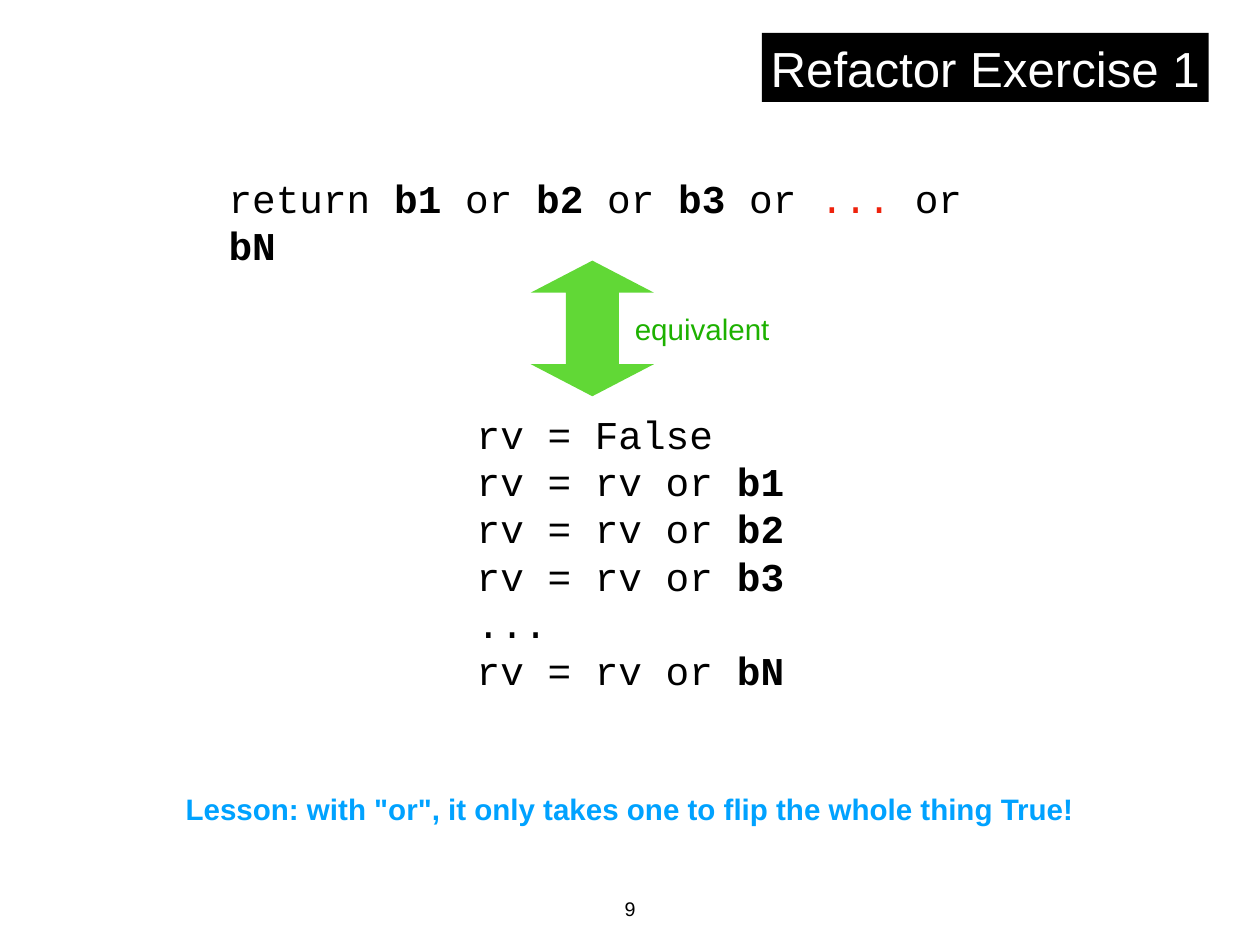
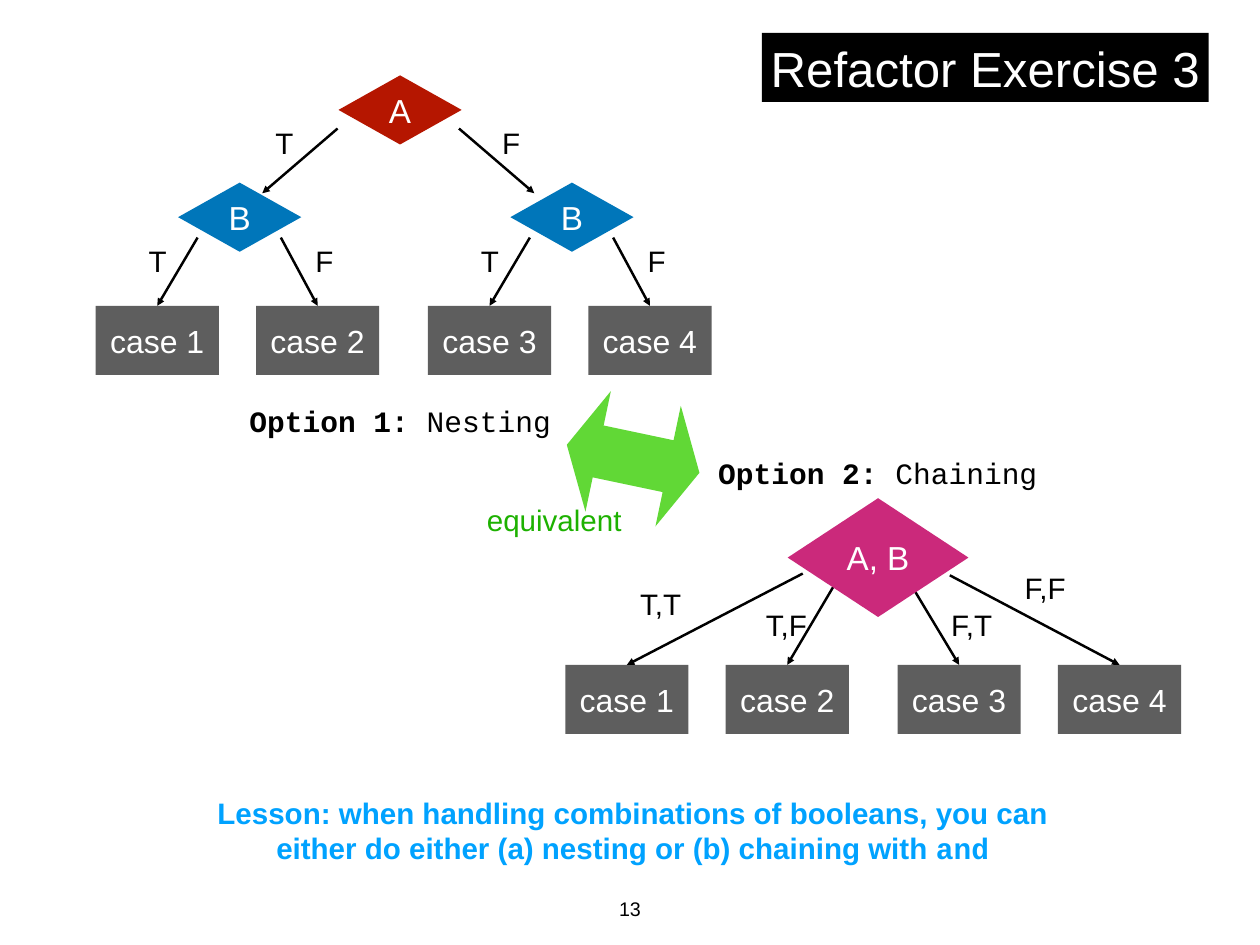
import pptx
import pptx.dml.color
import pptx.enum.shapes
import pptx.enum.text
import pptx.oxml.ns
import pptx.util
from lxml import etree
from pptx.util import Inches

Preset = pptx.enum.shapes.MSO_SHAPE
Align = pptx.enum.text.PP_ALIGN
Anchor = pptx.enum.text.MSO_ANCHOR

COLORS = {
    "black": "000000", "white": "FFFFFF", "red": "EE220C", "lesson": "00A2FF",
    "arrow": "61D836", "equivalent": "1DB100", "case": "5E5E5E",
    "A": "B51600", "B": "0076BA", "A, B": "CB297B",
}
SANS, MONO = "Arial", "Courier New"
BOLD, RED, CODE = {"bold": True}, {"color": "red"}, {"font": MONO}

RETURN_LINE = [[
    ("return ", {}), ("b1", BOLD), (" or ", {}), ("b2", BOLD), (" or ", {}),
    ("b3", BOLD), (" or ", {}), ("...", RED), (" or ", {}), ("bN", BOLD),
]]
STEP_LINES = [
    [("rv = False", {})],
    [("rv = rv or ", {}), ("b1", BOLD)],
    [("rv = rv or ", {}), ("b2", BOLD)],
    [("rv = rv or ", {}), ("b3", BOLD)],
    [("...", {})],
    [("rv = rv or ", {}), ("bN", BOLD)],
]
OR_LESSON = [[('Lesson: with "or", it only takes one to flip the whole thing True!', {})]]
NEST_LESSON = [
    [("Lesson: when handling combinations of booleans, you can", {})],
    [("either do either (a) nesting or (b) chaining with ", {}), ("and", CODE)],
]
OPTIONS = [
    ("Option 1: ", "Nesting", (2.76, 4.49, 3.51, 0.51)),
    ("Option 2: ", "Chaining", (8.05, 5.08, 3.71, 0.51)),
]

CASES = ["case 1", "case 2", "case 3", "case 4"]
NODE_WIDTH, NODE_HEIGHT = 1.39, 0.78
CASE_STEP, PAIR_STEP = 1.81, 3.75
LABEL_HEIGHT = 0.51

NEST_LEFT, NEST_TOP = 1.08, 3.45
ROOT_BRANCHES = [
    ("T", (3.81, 1.45), (2.96, 2.18), 3.05),
    ("F", (5.18, 1.45), (6.03, 2.18), 5.61),
]
PAIR_BRANCHES = [("T", 1.15, 0.54), ("F", 2.09, 2.42)]

CHAIN_LEFT, CHAIN_TOP = 6.38, 7.5
CHAIN_BRANCHES = [
    ("T,T", (9.06, 6.47), (7.15, 6.55)),
    ("T,F", (9.41, 6.61), (8.57, 6.79)),
    ("F,T", (10.29, 6.61), (10.66, 6.79)),
    ("F,F", (10.72, 6.49), (11.49, 6.37)),
]


def rgb(name):
    return pptx.dml.color.RGBColor.from_string(COLORS[name])


def write(shape, lines, size, color="black", font=SANS, bold=False,
          align=Align.CENTER, anchor=Anchor.MIDDLE, wrap=False):
    frame = shape.text_frame
    frame.margin_left = frame.margin_right = Inches(0 if align == Align.CENTER else 0.06)
    frame.margin_top = frame.margin_bottom = Inches(0.06)
    frame.word_wrap = wrap
    frame.vertical_anchor = anchor
    paragraph = frame.paragraphs[0]
    paragraph.alignment = align
    for index, line in enumerate(lines):
        if index:
            paragraph.add_line_break()
        for text, style in line:
            run = paragraph.add_run()
            run.text = text
            run.font.size = pptx.util.Pt(size)
            run.font.name = style.get("font", font)
            run.font.bold = style.get("bold", bold)
            run.font.color.rgb = rgb(style.get("color", color))


def add_text(slide, box, lines, size, **style):
    shape = slide.shapes.add_textbox(*map(Inches, box))
    write(shape, lines, size, **style)


def add_label(slide, text, left, top, width, color="black"):
    add_text(slide, (left, top, width, LABEL_HEIGHT), [[(text, {})]], 24, color=color)


def add_preset(slide, preset, box, fill, text="", size=27):
    shape = slide.shapes.add_shape(preset, *map(Inches, box))
    shape.shadow.inherit = False
    shape.fill.solid()
    shape.fill.fore_color.rgb = rgb(fill)
    shape.line.fill.background()
    if text:
        write(shape, [[(text, {})]], size, color="white")
    return shape


def add_diamond(slide, text, left, top, width=NODE_WIDTH, height=NODE_HEIGHT):
    add_preset(slide, Preset.DIAMOND, (left, top, width, height), text, text)


def add_equivalence(slide, left, top, rotation, label_left, label_top):
    arrow = add_preset(slide, Preset.LEFT_RIGHT_ARROW, (left, top, 1.53, 1.39), "arrow")
    arrow.adjustments[0] = 0.43
    arrow.adjustments[1] = 0.26
    arrow.rotation = rotation
    add_label(slide, "equivalent", label_left, label_top, 1.63, "equivalent")


def add_arrow(slide, start, end=None, target=None):
    points = [Inches(value) for value in (*start, *(end or start))]
    connector = slide.shapes.add_connector(pptx.enum.shapes.MSO_CONNECTOR.STRAIGHT, *points)
    if target is not None:
        connector.end_connect(target, 0)
    connector.line.color.rgb = rgb("black")
    connector.line.width = pptx.util.Pt(2)
    qn = pptx.oxml.ns.qn
    line = connector.line._get_or_add_ln()
    etree.SubElement(line, qn("a:tailEnd"), type="triangle")
    etree.SubElement(connector._element.spPr, qn("a:effectLst"))


def add_cases(slide, left, top):
    cases = []
    for index, name in enumerate(CASES):
        pair, member = divmod(index, 2)
        x = left + pair * PAIR_STEP + member * CASE_STEP
        box = (x, top, NODE_WIDTH, NODE_HEIGHT)
        cases.append(add_preset(slide, Preset.RECTANGLE, box, "case", name, 26))
    return cases


def add_slide(presentation, title, number, lesson, lesson_box):
    slide = presentation.slides.add_slide(presentation.slide_layouts[6])
    add_text(slide, (6.51, 10.06, 1.2, 0.41), [[(number, {})]], 16, anchor=Anchor.TOP)
    add_preset(slide, Preset.RECTANGLE, (8.6, 0.37, 5.04, 0.78), "black", title, 40)
    add_text(slide, lesson_box, lesson, 24, color="lesson", bold=True)
    return slide


def add_nesting_tree(slide):
    cases = add_cases(slide, NEST_LEFT, NEST_TOP)
    for text, start, end, label_left in ROOT_BRANCHES:
        add_arrow(slide, start, end)
        add_label(slide, text, label_left, 1.35, 0.32)
    add_diamond(slide, "A", 3.82, 0.85)
    for pair in range(2):
        left = NEST_LEFT + pair * PAIR_STEP
        for member, (text, start, label) in enumerate(PAIR_BRANCHES):
            add_arrow(slide, (left + start, 2.68), target=cases[2 * pair + member])
            add_label(slide, text, left + label, 2.68, 0.32)
        add_diamond(slide, "B", left + 0.93, 2.06)


def add_chaining_tree(slide):
    cases = add_cases(slide, CHAIN_LEFT, CHAIN_TOP)
    for case, (text, start, label) in zip(cases, CHAIN_BRANCHES):
        add_arrow(slide, start, target=case)
        add_label(slide, text, *label, 0.61)
    add_diamond(slide, "A, B", 8.89, 5.62, 2.04, 1.34)


def main():
    presentation = pptx.Presentation()
    presentation.slide_width = Inches(14.22)
    presentation.slide_height = Inches(10.66)

    slide = add_slide(presentation, "Refactor Exercise 1", "9",
                      OR_LESSON, (2.03, 8.87, 10.15, 0.51))
    for box, lines in [((2.52, 2.18, 9.1, 0.64), RETURN_LINE),
                       ((5.32, 4.57, 3.8, 3.31), STEP_LINES)]:
        add_text(slide, box, lines, 32, font=MONO, align=Align.LEFT, wrap=True)
    add_equivalence(slide, 5.92, 3.01, 90, 7.11, 3.45)

    slide = add_slide(presentation, "Refactor Exercise 3", "13",
                      NEST_LESSON, (2.4, 8.91, 9.48, 0.91))
    add_nesting_tree(slide)
    add_chaining_tree(slide)
    for heading, kind, box in OPTIONS:
        add_text(slide, box, [[(heading, BOLD), (kind, {})]], 24, font=MONO)
    add_equivalence(slide, 6.38, 4.48, 191.9, 5.44, 5.61)

    presentation.save("out.pptx")


if __name__ == "__main__":
    main()
